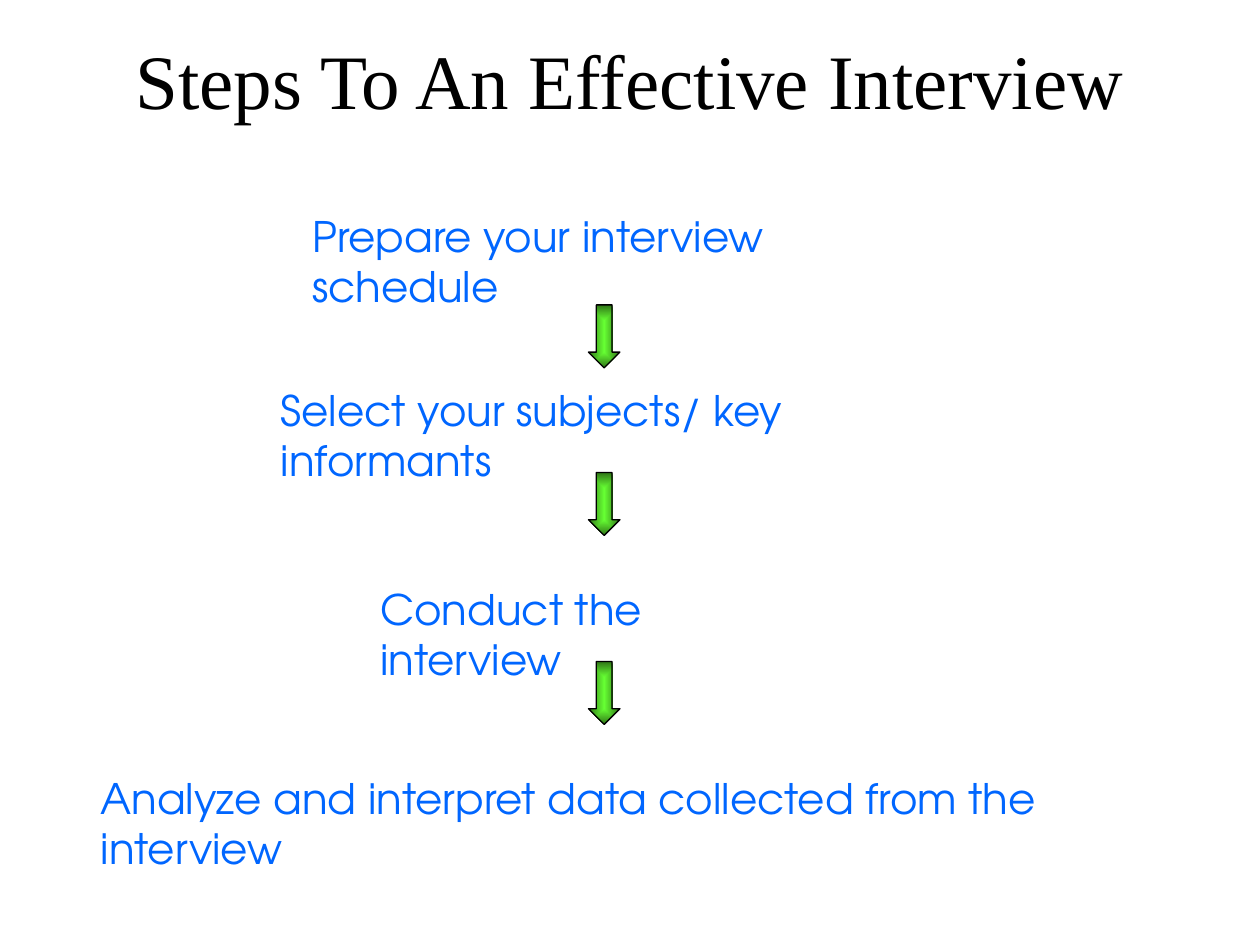
from dataclasses import dataclass

from lxml import etree
from pptx import Presentation
from pptx.dml.color import RGBColor
from pptx.enum import shapes, text
from pptx.oxml import ns
from pptx.util import Inches, Pt


@dataclass(frozen=True)
class Theme:
    ink: RGBColor = RGBColor(0, 0, 0)
    blue: RGBColor = RGBColor(0, 0x66, 0xFF)
    lime: RGBColor = RGBColor(0x66, 0xFF, 0x33)
    moss: RGBColor = RGBColor(0x2F, 0x75, 0x17)
    serif: str = "Times New Roman"
    sans: str = "TeX Gyre Adventor"
    head: float = 44
    body: float = 24
    edge: float = 0.74


THEME = Theme()
STEPS = [
    ("Prepare your interview schedule ", (2.38, 1.62, 5.34, 0.5)),
    ("Select your subjects/ key informants", (2.13, 3, 5.86, 0.9)),
    ("Conduct the interview", (2.92, 4.58, 3.64, 0.9)),
    ("Analyze and interpret data collected from the interview",
     (0.7, 6.08, 8.82, 0.5)),
]
ARROWS = [2.42, 3.75, 5.25]


def apply(item, form):
    for key, value in form.items():
        setattr(item, key, value)


def label(slide, words, box, font, frame, align):
    body = slide.shapes.add_textbox(*map(Inches, box)).text_frame
    apply(body, {"word_wrap": True, **frame})
    para = body.paragraphs[0]
    para.alignment = align
    run = para.add_run()
    run.text = words
    color = font["color"]
    apply(run.font, {"name": font["name"], "size": Pt(font["size"])})
    run.font.color.rgb = color


def title(slide, words):
    font = {"name": THEME.serif, "size": THEME.head, "color": THEME.ink}
    frame = {"vertical_anchor": text.MSO_ANCHOR.MIDDLE}
    label(slide, words, (0.75, 0, 8.5, 1.25), font, frame,
          text.PP_ALIGN.CENTER)


def step(slide, words, box):
    font = {"name": THEME.sans, "size": THEME.body, "color": THEME.blue}
    frame = {"vertical_anchor": text.MSO_ANCHOR.TOP}
    label(slide, words, box, font, frame, text.PP_ALIGN.LEFT)


def glow(shape):
    shape.fill.gradient()
    for stop, color in zip(shape.fill.gradient_stops,
                           (THEME.lime, THEME.moss)):
        stop.color.rgb = color
    grad = shape._element.spPr.find(ns.qn("a:gradFill"))
    grad.remove(grad.find(ns.qn("a:lin")))
    ring = etree.Element(ns.qn("a:path"), {"path": "rect"})
    sides = dict.fromkeys("ltrb", "50000")
    etree.SubElement(ring, ns.qn("a:fillToRect"), sides)
    grad.find(ns.qn("a:gsLst")).addnext(ring)


def arrow(slide, top):
    shape = slide.shapes.add_shape(
        shapes.MSO_SHAPE.DOWN_ARROW,
        *map(Inches, (4.67, top, 0.25, 0.5)))
    shape.shadow.inherit = False
    glow(shape)
    shape.line.color.rgb = THEME.ink
    shape.line.width = Pt(THEME.edge)


def main():
    deck = Presentation()
    apply(deck, {"slide_width": Inches(10), "slide_height": Inches(7.5)})
    slide = deck.slides.add_slide(deck.slide_layouts[6])
    title(slide, "Steps To An Effective Interview")
    for words, box in STEPS:
        step(slide, words, box)
    for top in ARROWS:
        arrow(slide, top)
    deck.save("out.pptx")


main()
